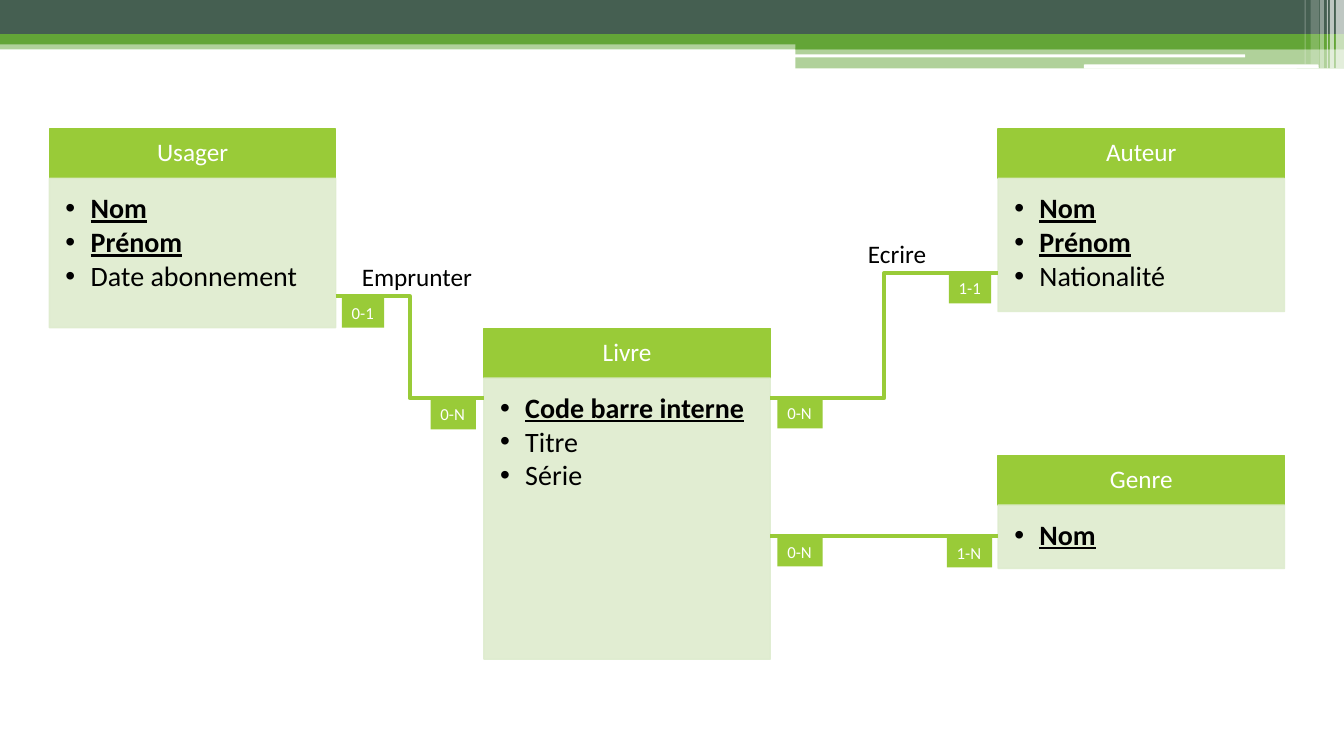
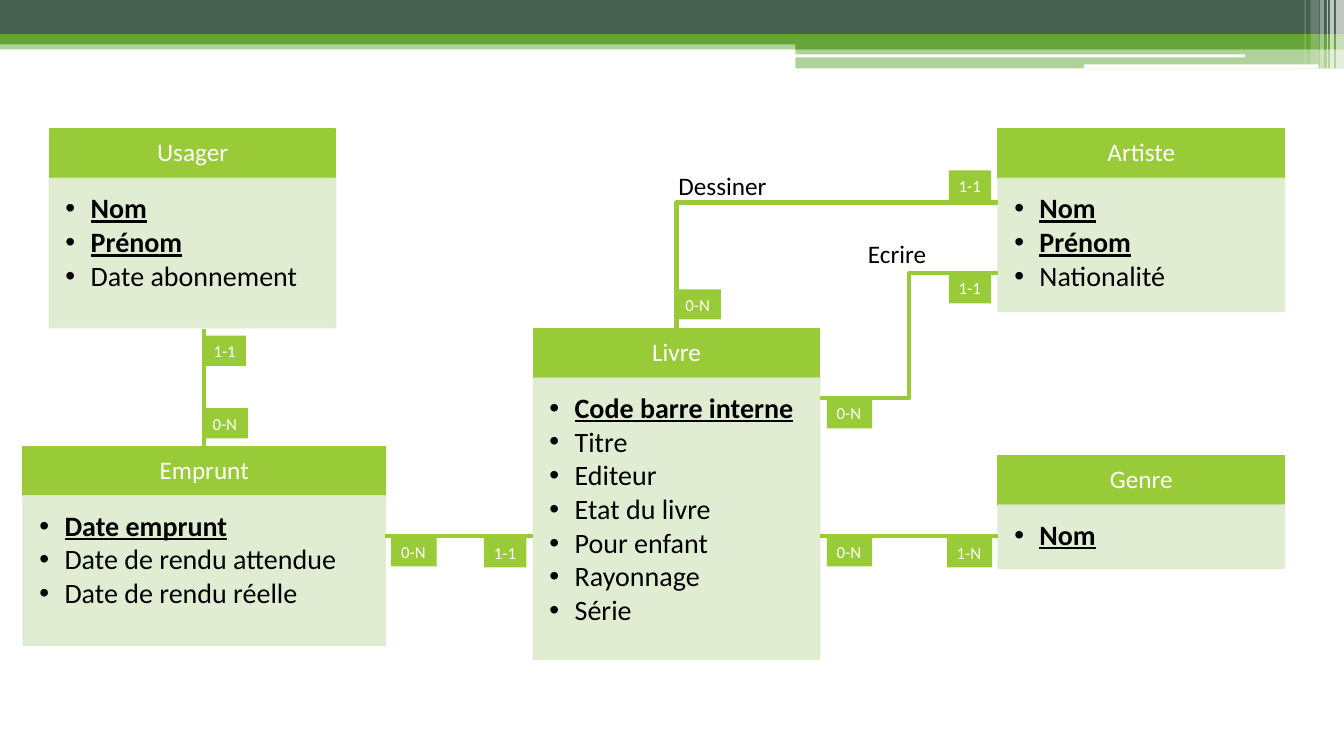
from pptx import Presentation
from pptx.dml.color import RGBColor
from pptx.enum.shapes import MSO_CONNECTOR, MSO_SHAPE
from pptx.enum.text import MSO_ANCHOR, MSO_AUTO_SIZE, PP_ALIGN
from pptx.oxml.ns import qn
from pptx.util import Inches, Pt
from lxml.etree import SubElement

FONT = "Calibri"
GREEN, LIME, PALE, DARK = "63A537", "99CB38", "DEECCE", "455F51"
WHITE, BLACK = "FFFFFF", "000000"
BOX_W, HEAD_H = 2.84, 0.49
RIGHT_X, GENRE_LINK_Y = 9.9, 5.32

BANDS = [
    (0, 0.4, 13.33, 0.09, GREEN, 50),
    (0, 0, 13.33, 0.34, DARK, 100),
    (0, 0.34, 13.33, 0.1, GREEN, 100),
    (7.89, 0.39, 5.44, 0.1, GREEN, 100),
    (7.89, 0.48, 5.44, 0.2, GREEN, 50),
]
RULES = [(7.88, 0.54, 4.47, 0.03), (10.75, 0.64, 2.33, 0.04)]
STRIPES = [
    (13.25, 0.08, 0.68, 65),
    (13.19, 0.04, 0.68, 65),
    (13.16, 0.01, 0.68, 60),
    (13.09, 0.04, 0.68, 40),
    (13, 0.08, 0.64, 20),
    (12.94, 0.01, 0.64, 30),
]


def rgb(color):
    return RGBColor.from_string(color)


def add_box(slide, x, y, w, h, color, alpha=100, outline=False, kind=MSO_SHAPE.RECTANGLE):
    sp = slide.shapes.add_shape(kind, Inches(x), Inches(y), Inches(w), Inches(h))
    sp.shadow.inherit = False
    sp.fill.solid()
    sp.fill.fore_color.rgb = rgb(color)
    if outline:
        sp.line.color.rgb = rgb(color)
        sp.line.width = Pt(1)
    else:
        sp.line.fill.background()
    if alpha < 100:
        for clr in sp.element.spPr.iter(qn("a:srgbClr")):
            SubElement(clr, qn("a:alpha")).set("val", str(alpha * 1000))
    return sp


def set_margins(tf, left, top, right, bottom):
    tf.margin_left, tf.margin_top = Inches(left), Inches(top)
    tf.margin_right, tf.margin_bottom = Inches(right), Inches(bottom)


def format_paragraph(p, size, color, align=PP_ALIGN.LEFT, key=False):
    p.alignment = align
    for r in p.runs:
        r.font.name = FONT
        r.font.size = Pt(size)
        r.font.color.rgb = rgb(color)
        r.font.bold = key
        r.font.underline = key


def add_bullet(p):
    p.line_spacing = 0.9
    p.space_after = Pt(2.5)
    pPr = p._p.get_or_add_pPr()
    pPr.set("marL", str(Inches(0.25)))
    pPr.set("indent", str(Inches(-0.25)))
    SubElement(pPr, qn("a:buFont")).set("typeface", "Arial")
    SubElement(pPr, qn("a:buChar")).set("char", "•")


def add_entity(slide, name, x, y, body_h, keys, attributes=(), w=BOX_W):
    head = add_box(slide, x, y, w, HEAD_H, LIME, outline=True)
    tf = head.text_frame
    tf.text = name
    tf.vertical_anchor = MSO_ANCHOR.MIDDLE
    set_margins(tf, 0.16, 0.09, 0.16, 0.09)
    tf.paragraphs[0].line_spacing = 0.9
    format_paragraph(tf.paragraphs[0], 18, WHITE, PP_ALIGN.CENTER)

    body = add_box(slide, x, y + HEAD_H, w, body_h, PALE, 90, outline=True)
    tf = body.text_frame
    tf.text = "\n".join([*keys, *attributes])
    tf.vertical_anchor = MSO_ANCHOR.TOP
    set_margins(tf, 0.16, 0.16, 0.21, 0.24)
    for i, p in enumerate(tf.paragraphs):
        format_paragraph(p, 20, BLACK, key=i < len(keys))
        add_bullet(p)


def add_link(slide, x1, y1, x2, y2, corner=False):
    straight = x1 == x2 or y1 == y2
    kind = MSO_CONNECTOR.STRAIGHT if straight else MSO_CONNECTOR.ELBOW
    link = slide.shapes.add_connector(kind, Inches(x1), Inches(y1), Inches(x2), Inches(y2))
    link.line.color.rgb = rgb(LIME)
    link.line.width = Pt(3)
    spPr = link.element.spPr
    SubElement(spPr, qn("a:effectLst"))
    if corner:
        spPr.find(qn("a:prstGeom")).set("prst", "bentConnector2")


def add_cardinality(slide, text, x, y):
    sp = add_box(slide, x, y, 0.45 if "N" in text else 0.42, 0.3, LIME)
    tf = sp.text_frame
    tf.text = text
    tf.word_wrap = False
    tf.auto_size = MSO_AUTO_SIZE.SHAPE_TO_FIT_TEXT
    format_paragraph(tf.paragraphs[0], 12, WHITE)


def add_label(slide, text, x, y, w):
    tf = slide.shapes.add_textbox(Inches(x), Inches(y), Inches(w), Inches(0.4)).text_frame
    tf.text = text
    tf.word_wrap = False
    tf.auto_size = MSO_AUTO_SIZE.SHAPE_TO_FIT_TEXT
    format_paragraph(tf.paragraphs[0], 18, BLACK)


def decorate_layout(layout, slide):
    for ph in list(layout.placeholders):
        layout.shapes.element.remove(ph.element)
    bands = [add_box(slide, *band) for band in BANDS]
    for rule in RULES:
        bands.append(add_box(slide, *rule, WHITE, kind=MSO_SHAPE.ROUNDED_RECTANGLE))
    for x, w, h, alpha in STRIPES:
        bands.append(add_box(slide, x, 0, w, h, WHITE, alpha))
    for sp in bands:
        layout.shapes.element.append(sp.element)


def add_library(slide, livre_x, livre_attributes, writer):
    livre_right = livre_x + BOX_W
    person = ["Nom", "Prénom"]
    add_entity(slide, "Livre", livre_x, 3.26, 2.79, ["Code barre interne"], livre_attributes)
    add_entity(slide, writer, RIGHT_X, 1.28, 1.32, person, ["Nationalité"])
    add_entity(slide, "Usager", 0.49, 1.28, 1.48, person, ["Date abonnement"])
    add_entity(slide, "Genre", RIGHT_X, 4.52, 0.63, ["Nom"])

    add_link(slide, livre_right, 3.95, RIGHT_X, 2.71)
    add_label(slide, "Ecrire", 8.51, 2.32, 0.78)
    add_cardinality(slide, "1-1", 9.41, 2.71)
    add_cardinality(slide, "0-N", livre_right + 0.07, 3.95)

    add_link(slide, livre_right, GENRE_LINK_Y, RIGHT_X, GENRE_LINK_Y)
    add_cardinality(slide, "0-N", livre_right + 0.07, GENRE_LINK_Y)
    add_cardinality(slide, "1-N", 9.39, 5.33)


def add_simple_model(slide):
    add_library(slide, 4.8, ["Titre", "Série"], "Auteur")
    add_link(slide, 3.33, 2.94, 4.8, 3.95)
    add_label(slide, "Emprunter", 3.49, 2.54, 1.31)
    add_cardinality(slide, "0-1", 3.39, 2.95)
    add_cardinality(slide, "0-N", 4.27, 3.96)


def add_detailed_model(slide):
    add_link(slide, 2.02, 4.43, 2.02, 3.26)
    attributes = ["Titre", "Editeur", "Etat du livre", "Pour enfant", "Rayonnage", "Série"]
    add_library(slide, 5.29, attributes, "Artiste")
    add_cardinality(slide, "1-1", 2.02, 3.33)
    add_cardinality(slide, "0-N", 2.01, 4.05)

    add_entity(slide, "Emprunt", 0.23, 4.43, 1.48, ["Date emprunt"],
               ["Date de rendu attendue", "Date de rendu réelle"], w=3.59)
    add_link(slide, 3.82, GENRE_LINK_Y, 5.29, GENRE_LINK_Y)
    add_cardinality(slide, "1-1", 4.8, 5.33)
    add_cardinality(slide, "0-N", 3.88, GENRE_LINK_Y)

    add_link(slide, RIGHT_X, 2.01, 6.71, 3.26, corner=True)
    add_label(slide, "Dessiner", 6.63, 1.64, 1.09)
    add_cardinality(slide, "1-1", 9.41, 1.69)
    add_cardinality(slide, "0-N", 6.7, 2.87)


def main():
    prs = Presentation()
    prs.slide_width, prs.slide_height = Inches(13.33), Inches(7.5)
    layout = prs.slide_layouts[6]
    simple = prs.slides.add_slide(layout)
    detailed = prs.slides.add_slide(layout)
    decorate_layout(layout, simple)
    add_simple_model(simple)
    add_detailed_model(detailed)
    prs.save("out.pptx")


main()
